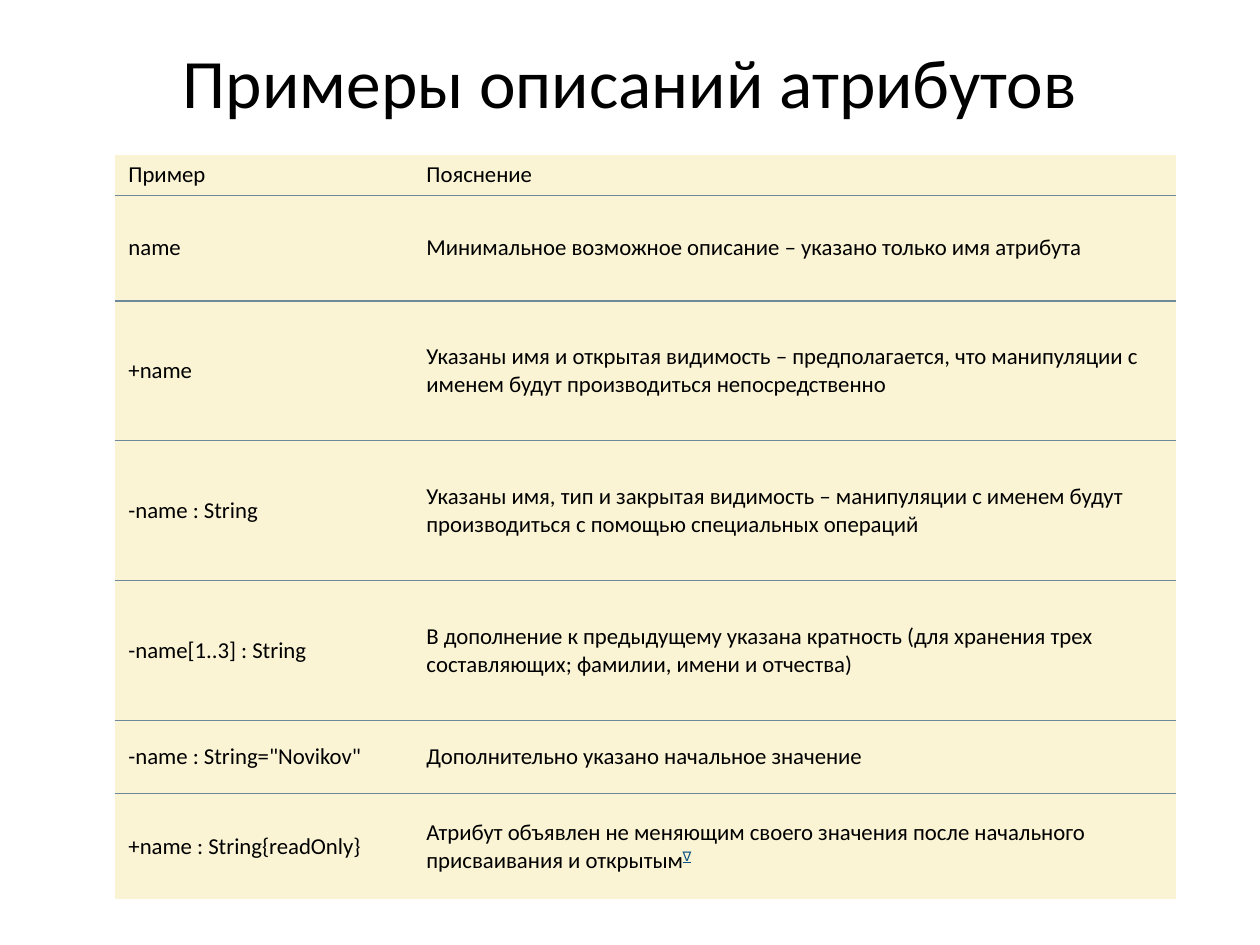
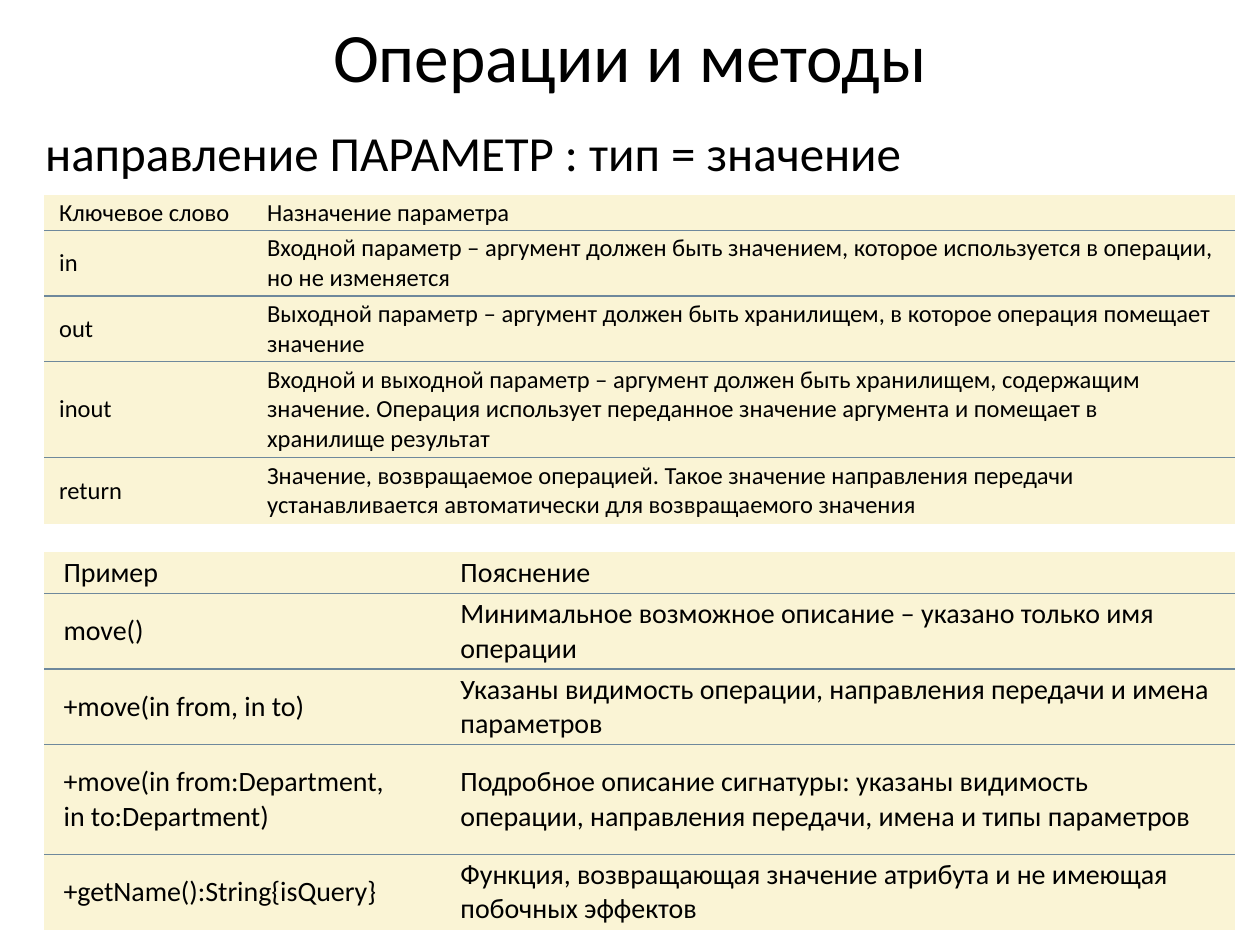
from dataclasses import dataclass

from lxml import etree
from pptx import Presentation
from pptx import util as u
from pptx.dml.color import RGBColor
from pptx.enum import text
from pptx.oxml import ns

GRID_COLUMNS, GRID_ROWS = 100, 75
UNIT = u.Inches(0.1)
FONT = "Calibri"
COLORS = {"ink": "000000", "cell": "FAF4D5", "rule": "6E889C", "mark": "074F85"}
RULE_WIDTH = u.Pt(0.75)
TITLE_SIZE, SUBTITLE_SIZE = 39.6, 28
PLAIN_TABLE_STYLE = "{2D5ABB26-0587-4C30-8999-92F81FD0307C}"
FOOTNOTE_MARK = "∇"


@dataclass(frozen=True)
class Box:
    """A place on the slide, in grid columns and rows."""
    left: float
    top: float
    width: float
    height: float

    def lengths(self) -> tuple:
        return tuple(span(n) for n in (self.left, self.top, self.width, self.height))


@dataclass(frozen=True)
class Glossary:
    """A two-column table of terms and explanations; the first entry is the header."""
    left: float
    top: float
    columns: tuple
    rows: tuple
    size: float
    side_margin: float
    end_margin: float
    entries: tuple


ATTRIBUTES = Glossary(
    9.1, 12.3, (23.65, 60.6), (3.2, 8.4, 11.1, 11.1, 11.1, 5.8, 8.4), 13, 1.1, 0.2,
    (
        ("Пример", "Пояснение"),
        ("name", "Минимальное возможное описание ‒ указано только имя атрибута"),
        ("+name", "Указаны имя и открытая видимость ‒ предполагается, что манипуляции "
                  "с именем будут производиться непосредственно"),
        ("-name : String", "Указаны имя, тип и закрытая видимость ‒ манипуляции с именем "
                           "будут производиться с помощью специальных операций"),
        ("-name[1..3] : String", "В дополнение к предыдущему указана кратность (для хранения "
                                 "трех составляющих; фамилии, имени и отчества)"),
        ('-name : String="Novikov"', "Дополнительно указано начальное значение"),
        ("+name : String{readOnly}", "Атрибут объявлен не меняющим своего значения после "
                                     "начального присваивания и открытым" + FOOTNOTE_MARK),
    ))

DIRECTIONS = Glossary(
    3.5, 15.5, (16.5, 78), (2.8, 5.2, 5.2, 7.6, 5.3), 14, 1.2, 0.2,
    (
        ("Ключевое слово", "Назначение параметра"),
        ("in", "Входной параметр ‒ аргумент должен быть значением, которое используется "
               "в операции, но не изменяется"),
        ("out", "Выходной параметр ‒ аргумент должен быть хранилищем, в которое операция "
                "помещает значение"),
        ("inout", "Входной и выходной параметр ‒ аргумент должен быть хранилищем, содержащим "
                  "значение. Операция использует переданное значение аргумента и помещает "
                  "в хранилище результат"),
        ("return", "Значение, возвращаемое операцией. Такое значение направления передачи "
                   "устанавливается автоматически для возвращаемого значения"),
    ))

OPERATIONS = Glossary(
    3.5, 43.8, (31.5, 63), (3.3, 6, 6, 8.7, 6), 16, 1.55, 0.3,
    (
        ("Пример", "Пояснение"),
        ("move()", "Минимальное возможное описание ‒ указано только имя операции"),
        ("+move(in from, in to)", "Указаны видимость операции, направления передачи "
                                  "и имена параметров"),
        ("+move(in from:Department,\nin to:Department)",
         "Подробное описание сигнатуры: указаны видимость операции, направления передачи, "
         "имена и типы параметров"),
        ("+getName():String{isQuery}", "Функция, возвращающая значение атрибута "
                                       "и не имеющая побочных эффектов"),
    ))


def span(units: float) -> int:
    return round(units * UNIT)


def color(key: str) -> RGBColor:
    return RGBColor.from_string(COLORS[key])


def style_paragraph(paragraph, size: float, align=text.PP_ALIGN.LEFT) -> None:
    paragraph.alignment = align
    font = paragraph.font
    font.name, font.size = FONT, u.Pt(size)
    font.color.rgb = color("ink")


def add_titled_slide(deck, title: str, box: Box):
    slide = deck.slides.add_slide(deck.slide_layouts[5])
    heading = slide.shapes.title
    heading.left, heading.top, heading.width, heading.height = box.lengths()
    frame = heading.text_frame
    frame.text = title
    frame.auto_size = text.MSO_AUTO_SIZE.NONE
    frame.vertical_anchor = text.MSO_ANCHOR.MIDDLE
    style_paragraph(frame.paragraphs[0], TITLE_SIZE, text.PP_ALIGN.CENTER)
    return slide


def add_subtitle(slide, wording: str, box: Box) -> None:
    frame = slide.shapes.add_textbox(*box.lengths()).text_frame
    frame.word_wrap = True
    frame.text = wording
    style_paragraph(frame.paragraphs[0], SUBTITLE_SIZE, text.PP_ALIGN.JUSTIFY)


def add_rule(cell, side: str) -> None:
    """Draw a border on one side of a cell: lnT or lnB."""
    properties = cell._tc.get_or_add_tcPr()
    line = etree.SubElement(properties, ns.qn(f"a:{side}"), w=str(RULE_WIDTH))
    fill = etree.SubElement(line, ns.qn("a:solidFill"))
    etree.SubElement(fill, ns.qn("a:srgbClr"), val=COLORS["rule"])


def add_footnote_mark(paragraph) -> None:
    mark = paragraph.add_run()
    mark.text = FOOTNOTE_MARK
    mark.font.underline = True
    mark.font.color.rgb = color("mark")
    mark.font._element.set("baseline", "30000")


def fill_cell(cell, wording: str, glossary: Glossary) -> None:
    cell.margin_left = cell.margin_right = span(glossary.side_margin)
    cell.margin_top = cell.margin_bottom = span(glossary.end_margin)
    cell.vertical_anchor = text.MSO_ANCHOR.MIDDLE
    cell.fill.solid()
    cell.fill.fore_color.rgb = color("cell")
    paragraph = cell.text_frame.paragraphs[0]
    paragraph.text = wording.removesuffix(FOOTNOTE_MARK)
    style_paragraph(paragraph, glossary.size)
    if wording.endswith(FOOTNOTE_MARK):
        add_footnote_mark(paragraph)


def add_glossary(slide, glossary: Glossary) -> None:
    box = Box(glossary.left, glossary.top, sum(glossary.columns), sum(glossary.rows))
    table = slide.shapes.add_table(
        len(glossary.rows), len(glossary.columns), *box.lengths()).table
    table.first_row = table.horz_banding = False
    table._tbl.tblPr.find(ns.qn("a:tableStyleId")).text = PLAIN_TABLE_STYLE
    for column, width in zip(table.columns, glossary.columns):
        column.width = span(width)
    last = len(glossary.rows) - 1
    for r, (height, entry) in enumerate(zip(glossary.rows, glossary.entries)):
        table.rows[r].height = span(height)
        for c, wording in enumerate(entry):
            cell = table.cell(r, c)
            if r > 0:
                add_rule(cell, "lnT")
            if r < last:
                add_rule(cell, "lnB")
            fill_cell(cell, wording, glossary)


def main() -> None:
    deck = Presentation()
    deck.slide_width, deck.slide_height = span(GRID_COLUMNS), span(GRID_ROWS)

    attributes = add_titled_slide(deck, "Примеры описаний атрибутов", Box(5, 3, 90, 6.9))
    add_glossary(attributes, ATTRIBUTES)

    operations = add_titled_slide(deck, "Операции и методы", Box(5, 0.5, 90, 7.7))
    add_subtitle(operations, "направление ПАРАМЕТР : тип = значение", Box(2.6, 9.2, 93, 6.3))
    add_glossary(operations, DIRECTIONS)
    add_glossary(operations, OPERATIONS)

    deck.save("out.pptx")


if __name__ == "__main__":
    main()
